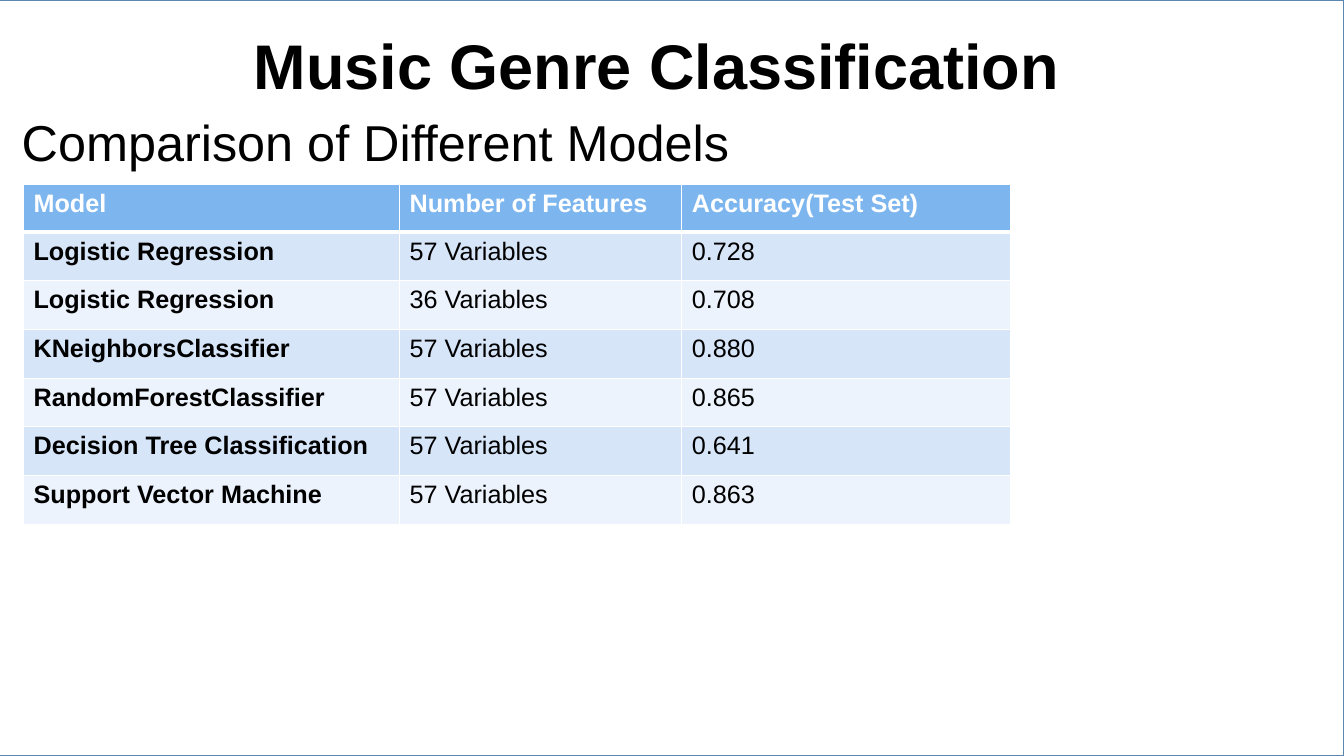
from dataclasses import dataclass

from lxml.etree import SubElement
from pptx import Presentation
from pptx.dml.color import RGBColor
from pptx.enum.shapes import MSO_SHAPE
from pptx.enum.text import MSO_ANCHOR, PP_ALIGN
from pptx.oxml.ns import qn
from pptx.util import Pt


@dataclass(frozen=True)
class Theme:
    font: str = "Arial"
    ink: str = "000000"
    paper: str = "FFFFFF"
    frame: str = "5C87B1"
    header: str = "7DB6EF"
    bands: tuple = ("D7E5F9", "ECF3FC")
    title_size: float = 45
    subtitle_size: float = 36
    table_size: float = 18
    rule: float = 1
    header_rule: float = 3


def write(frame, text, *, font, size, color, bold=False, align=PP_ALIGN.LEFT):
    para = frame.paragraphs[0]
    para.alignment = align
    span = para.add_run()
    span.text = text
    span.font.name = font
    span.font.size = Pt(size)
    span.font.bold = bold
    span.font.color.rgb = RGBColor.from_string(color)


class Page:
    def __init__(self, slide, theme):
        self.slide = slide
        self.theme = theme

    def backdrop(self, left, top, width, height, opacity):
        panel = self.slide.shapes.add_shape(
            MSO_SHAPE.RECTANGLE, Pt(left), Pt(top), Pt(width), Pt(height))
        panel.shadow.inherit = False
        panel.fill.solid()
        panel.fill.fore_color.rgb = RGBColor.from_string(self.theme.paper)
        color = panel.fill._xPr.find(qn("a:solidFill"))[0]
        SubElement(color, qn("a:alpha"), val=str(opacity * 1000))
        panel.line.color.rgb = RGBColor.from_string(self.theme.frame)
        panel.line.width = Pt(self.theme.rule)

    def text(self, text, left, top, width, height, *, anchor=MSO_ANCHOR.TOP,
             **style):
        box = self.slide.shapes.add_textbox(Pt(left), Pt(top), Pt(width), Pt(height))
        frame = box.text_frame
        frame.word_wrap = True
        frame.vertical_anchor = anchor
        frame.margin_left = frame.margin_right = 0
        frame.margin_top = frame.margin_bottom = 0
        write(frame, text, font=self.theme.font, color=self.theme.ink, **style)

    def borders(self, cell, row):
        theme = self.theme
        widths = {"L": theme.rule, "R": theme.rule,
                  "T": theme.header_rule if row == 1 else theme.rule,
                  "B": theme.header_rule if row == 0 else theme.rule}
        properties = cell._tc.get_or_add_tcPr()
        for side, width in widths.items():
            line = SubElement(properties, qn(f"a:ln{side}"), w=str(Pt(width)))
            fill = SubElement(line, qn("a:solidFill"))
            SubElement(fill, qn("a:srgbClr"), val=theme.paper)

    def table(self, rows, left, top, widths, header_height, row_height):
        theme = self.theme
        heights = [header_height] + [row_height] * (len(rows) - 1)
        table = self.slide.shapes.add_table(
            len(rows), len(widths), Pt(left), Pt(top),
            Pt(sum(widths)), Pt(sum(heights))).table
        for column, width in zip(table.columns, widths):
            column.width = Pt(width)
        for row, (values, height) in enumerate(zip(rows, heights)):
            table.rows[row].height = Pt(height)
            header = row == 0
            fill = theme.header if header else theme.bands[(row - 1) % 2]
            for column, value in enumerate(values):
                cell = table.cell(row, column)
                self.borders(cell, row)
                cell.fill.solid()
                cell.fill.fore_color.rgb = RGBColor.from_string(fill)
                write(cell.text_frame, value, font=theme.font,
                      size=theme.table_size, bold=header or column == 0,
                      color=theme.paper if header else theme.ink)


def main():
    theme = Theme()
    deck = Presentation()
    deck.slide_width = Pt(960)
    deck.slide_height = Pt(540)
    page = Page(deck.slides.add_slide(deck.slide_layouts[6]), theme)

    page.backdrop(-30, 0, 990, 540, opacity=68)
    page.text("Music Genre Classification", 109, 9, 720, 64,
              size=theme.title_size, bold=True, align=PP_ALIGN.CENTER,
              anchor=MSO_ANCHOR.BOTTOM)
    page.text("Comparison of Different Models", 15.5, 79.5, 880, 42,
              size=theme.subtitle_size)

    models = [
        ("Model", "Number of Features", "Accuracy(Test Set)"),
        ("Logistic Regression", "57 Variables", "0.728"),
        ("Logistic Regression", "36 Variables", "0.708"),
        ("KNeighborsClassifier", "57 Variables", "0.880"),
        ("RandomForestClassifier", "57 Variables", "0.865"),
        ("Decision Tree Classification", "57 Variables", "0.641"),
        ("Support Vector Machine", "57 Variables", "0.863"),
    ]
    page.table(models, 16.8, 132, (268.6, 201.6, 235.2),
               header_height=33.8, row_height=34.8)

    deck.save("out.pptx")


if __name__ == "__main__":
    main()
